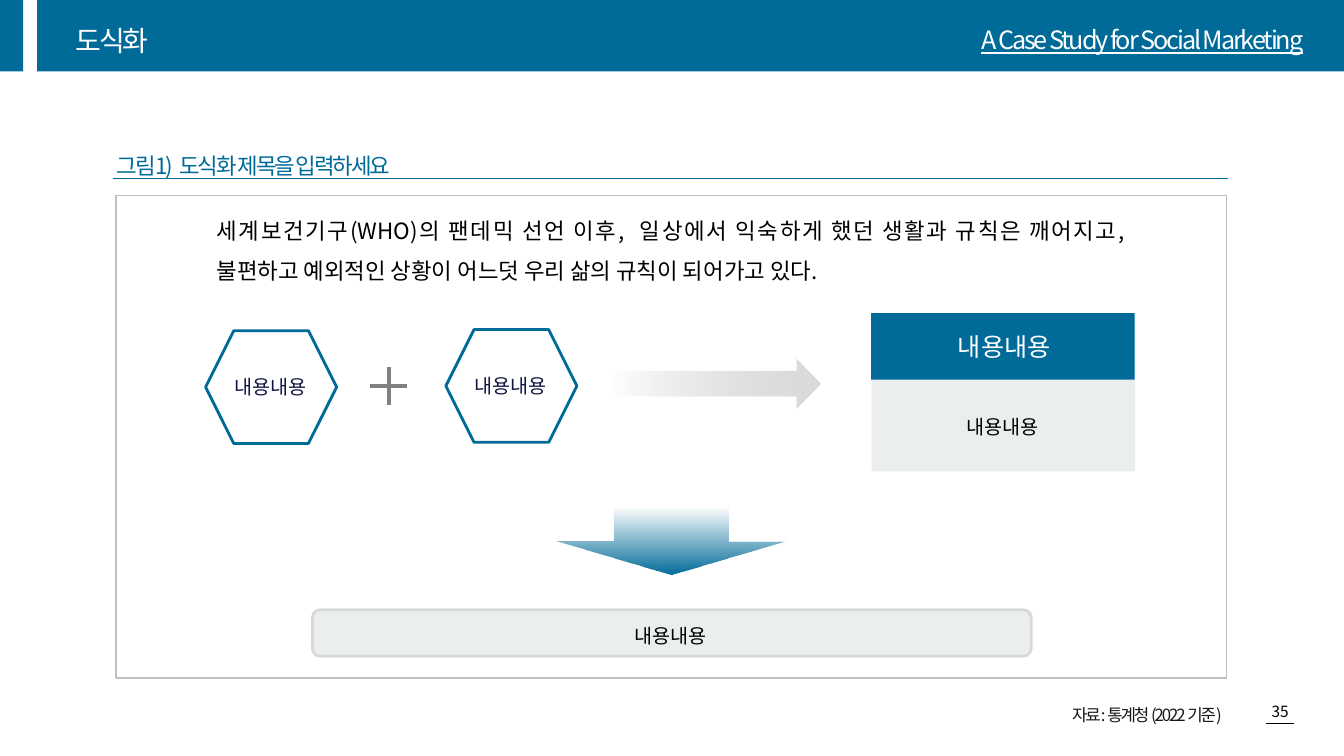
"""Build the diagram slide: two inputs lead to a result box and a conclusion bar."""
from lxml import etree
from pptx import Presentation, util as u
from pptx.dml.color import RGBColor
from pptx.enum import shapes, text
from pptx.oxml.ns import qn

FONT = "Noto Sans CJK KR"
BLUE = RGBColor(0x00, 0x6B, 0x99)
NAVY = RGBColor(0x0F, 0x16, 0x42)
BLACK = RGBColor(0x00, 0x00, 0x00)
INK = RGBColor(0x18, 0x18, 0x18)
WHITE = RGBColor(0xFF, 0xFF, 0xFF)
PALE = RGBColor(0xEA, 0xEE, 0xEE)
LIGHT = RGBColor(0xD9, 0xD9, 0xD9)
SILVER = RGBColor(0xBF, 0xBF, 0xBF)
GRAY = RGBColor(0x80, 0x80, 0x80)

SECTION = "도식화"
COURSE = "A Case Study for Social Marketing"
CAPTION = "그림1)  도식화 제목을 입력하세요"
BODY = ("세계보건기구(WHO)의 팬데믹 선언 이후,  일상에서 익숙하게 했던 생활과 규칙은 "
        "깨어지고, 불편하고 예외적인 상황이 어느덧 우리 삶의 규칙이 되어가고 있다.")
SOURCE = "자료: 통계청 (2022 기준)"
PAGE = "35"
LABEL = "내용내용"

SHAPE = shapes.MSO_SHAPE
ALIGN = text.PP_ALIGN
MIDDLE = text.MSO_ANCHOR.MIDDLE
TIGHT = -150

SLIDE_W, SLIDE_H = 960, 540
BAR_H = 51
HEXAGONS = [(146.9, 236.2), (318.5, 235.4)]
HEXAGON_W, HEXAGON_H = 93.6, 80.6
PLUS_X, PLUS_Y, PLUS_ARM = 277.6, 275.8, 13.3
RESULT_X, RESULT_Y, RESULT_W = 622.2, 223.7, 188.2
RESULT_H, RESULT_HEAD_H = 113, 47.5
LABEL_W, LABEL_H = 121.7, 24.2

presentation = Presentation()
presentation.slide_width = u.Pt(SLIDE_W)
presentation.slide_height = u.Pt(SLIDE_H)
slide = presentation.slides.add_slide(presentation.slide_layouts[6])


def points(*lengths):
    return [u.Pt(length) for length in lengths]


def set_all(target, values):
    for name, value in values.items():
        setattr(target, name, value)


def add_shape(kind, box, fill=None, line=None, width=1):
    shape = slide.shapes.add_shape(kind, *points(*box))
    shape.shadow.inherit = False
    if fill is None:
        shape.fill.background()
    else:
        shape.fill.solid()
        shape.fill.fore_color.rgb = fill
    if line is None:
        shape.line.fill.background()
    else:
        shape.line.color.rgb = line
        shape.line.width = u.Pt(width)
    return shape


def add_gradient(kind, box, colors, angle, clear_stop):
    shape = add_shape(kind, box)
    shape.fill.gradient()
    shape.fill.gradient_angle = angle
    for stop, color, position in zip(shape.fill.gradient_stops, colors, (0, 1)):
        set_all(stop, {"position": position})
        stop.color.rgb = color
    stop_colors = list(shape._element.spPr.iter(qn("a:srgbClr")))
    etree.SubElement(stop_colors[clear_stop], qn("a:alpha"), val="0")


def add_line(ends, color, width):
    line = slide.shapes.add_connector(shapes.MSO_CONNECTOR.STRAIGHT, *points(*ends))
    line.line.color.rgb = color
    line.line.width = u.Pt(width)
    etree.SubElement(line._element.spPr, qn("a:effectLst"))


def add_text(words, box, size, color, align=ALIGN.LEFT, tracking=0, anchor=None,
             underline=None, **spacing):
    frame = slide.shapes.add_textbox(*points(*box)).text_frame
    set_all(frame, {"word_wrap": True, "vertical_anchor": anchor})
    paragraph = frame.paragraphs[0]
    set_all(paragraph, {"alignment": align, **spacing})
    run = paragraph.add_run()
    run.text = words
    set_all(run.font, {"name": FONT, "size": u.Pt(size), "underline": underline})
    run.font.color.rgb = color
    properties = run.font._element
    if tracking:
        properties.set("spc", str(tracking))
    etree.SubElement(properties, qn("a:ea"), typeface=FONT)


def add_label(center_x, center_y, color, size=14, height=LABEL_H):
    box = (center_x - LABEL_W / 2, center_y - height / 2, LABEL_W, height)
    add_text(LABEL, box, size, color, ALIGN.CENTER)


for left, width in [(0, 16.6), (26.6, SLIDE_W - 26.6)]:
    add_shape(SHAPE.RECTANGLE, (left, 0, width, BAR_H), BLUE)
add_text(SECTION, (46.8, 3.6, 328.3, 43.2), 20, WHITE, tracking=TIGHT,
         anchor=MIDDLE, line_spacing=1.3)
add_text(COURSE, (609.8, 7.9, 328.3, 33.8), 18, WHITE, ALIGN.RIGHT, TIGHT,
         MIDDLE, True, line_spacing=1.3)
add_text(PAGE, (889.9, 498.2, 49, 20.9), 11, BLACK, ALIGN.CENTER)
add_line((904.3, 517, 924.5, 517), BLACK, 0.5)

add_shape(SHAPE.RECTANGLE, (82.8, 139.7, 793.4, 344.5), line=SILVER)
add_text(SOURCE, (569.5, 492.5, 310.3, 27.4), 12, INK, ALIGN.RIGHT, TIGHT,
         line_spacing=1.5)
add_text(CAPTION, (76.3, 95.8, 283.7, 33.8), 16, BLUE, tracking=TIGHT,
         line_spacing=1.5)
add_line((80.6, 127.4, 877, 127.4), BLUE, 0.5)
add_text(BODY, (147.6, 141.8, 663.1, 58.3), 16, BLACK, ALIGN.JUSTIFY,
         line_spacing=1.5, space_before=u.Pt(10))

for left, top in HEXAGONS:
    add_shape(SHAPE.HEXAGON, (left, top, HEXAGON_W, HEXAGON_H), line=BLUE, width=2)
    add_label(left + HEXAGON_W / 2 - 0.5, top + HEXAGON_H / 2, NAVY)
for arm_x, arm_y in [(PLUS_ARM, 0), (0, PLUS_ARM)]:
    add_line((PLUS_X - arm_x, PLUS_Y - arm_y, PLUS_X + arm_x, PLUS_Y + arm_y), GRAY, 3)
add_gradient(SHAPE.RIGHT_ARROW, (434.9, 256.3, 151.2, 35.3), (SILVER, LIGHT), 0, 0)

result_center = RESULT_X + RESULT_W / 2
add_shape(SHAPE.RECTANGLE, (RESULT_X + 0.4, RESULT_Y, RESULT_W, RESULT_H), PALE)
add_shape(SHAPE.RECTANGLE, (RESULT_X, RESULT_Y, RESULT_W, RESULT_HEAD_H), BLUE)
add_label(result_center + 1, RESULT_Y + RESULT_HEAD_H / 2, WHITE, 18, 28.8)
add_label(result_center, RESULT_Y + (RESULT_HEAD_H + RESULT_H) / 2 + 1.3, BLACK)

add_gradient(SHAPE.DOWN_ARROW, (397.4, 362.9, 163.4, 47.5), (BLUE, BLUE), 90, 1)
add_shape(SHAPE.ROUNDED_RECTANGLE, (223.2, 435.6, 513.4, 33.1), PALE, LIGHT, 2)
add_label(479.2, 454.3, BLACK)

presentation.save("out.pptx")
